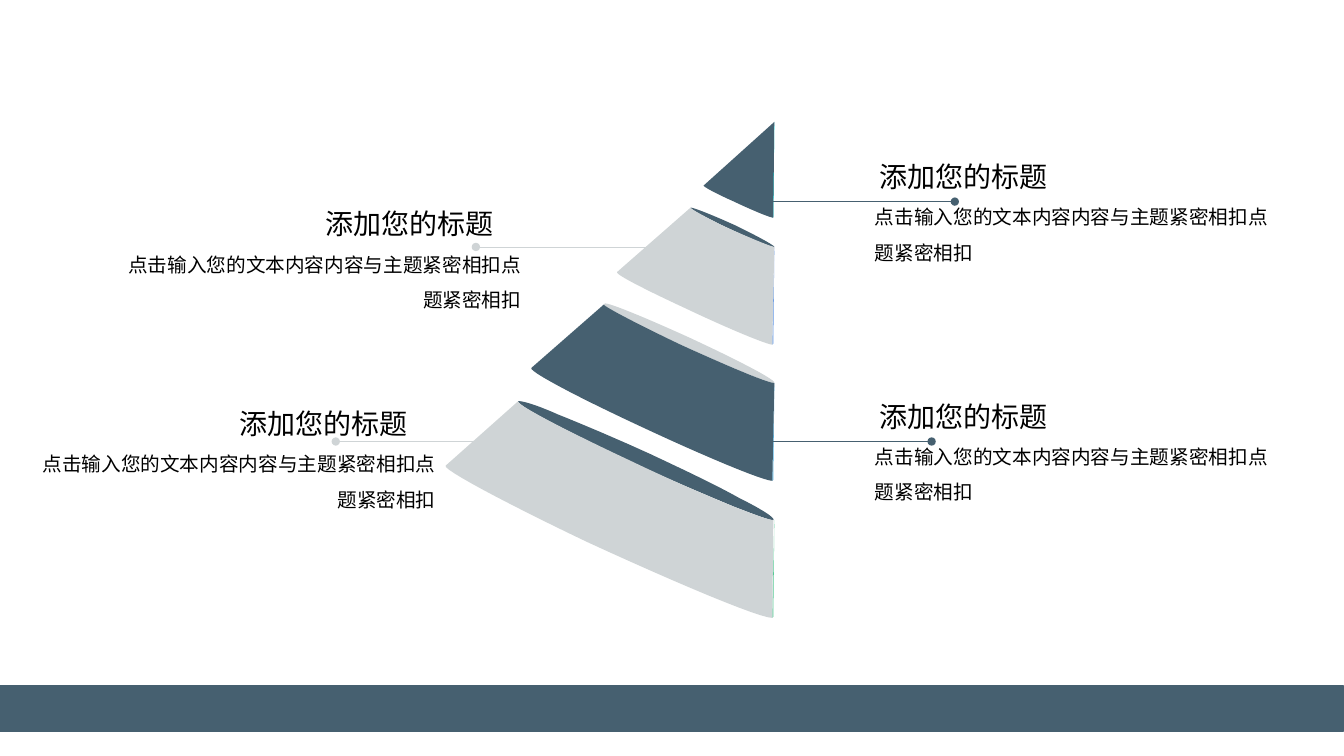
from dataclasses import dataclass

from lxml import etree
from pptx import Presentation
from pptx.dml.color import RGBColor
from pptx.enum.shapes import MSO_CONNECTOR, MSO_SHAPE
from pptx.enum.text import MSO_AUTO_SIZE, PP_ALIGN
from pptx.oxml.ns import qn
from pptx.util import Inches, Pt

STRAIGHT = MSO_CONNECTOR.STRAIGHT
RECTANGLE = MSO_SHAPE.RECTANGLE
GROW = MSO_AUTO_SIZE.SHAPE_TO_FIT_TEXT
LEFT, RIGHT, JUSTIFY = PP_ALIGN.LEFT, PP_ALIGN.RIGHT, PP_ALIGN.JUSTIFY


@dataclass(frozen=True)
class Theme:
    slate: RGBColor = RGBColor(0x46, 0x60, 0x70)
    silver: RGBColor = RGBColor(0xCF, 0xD4, 0xD6)
    cyan: RGBColor = RGBColor(0x00, 0xFF, 0xFF)
    periwinkle: RGBColor = RGBColor(0x60, 0x96, 0xE6)
    sky: RGBColor = RGBColor(0x58, 0xB6, 0xE5)
    green: RGBColor = RGBColor(0x56, 0xCA, 0x95)
    text: RGBColor = RGBColor(0x00, 0x00, 0x00)
    font: str = "Times New Roman"
    title_size: int = 20
    body_size: int = 14


theme = Theme()
CURVE_STEPS = 12


def draw_outline(shapes, outline, color):
    """Fill an outline of a start point, lines (2 numbers) and cubic curves (6)."""
    start, *segments = outline
    points = [start]
    for segment in segments:
        if len(segment) == 2:
            points.append(segment)
            continue
        x0, y0 = points[-1]
        x1, y1, x2, y2, x3, y3 = segment
        for step in range(1, CURVE_STEPS + 1):
            t = step / CURVE_STEPS
            a, b, c, d = (1 - t) ** 3, 3 * t * (1 - t) ** 2, 3 * t * t * (1 - t), t ** 3
            points.append((a * x0 + b * x1 + c * x2 + d * x3,
                           a * y0 + b * y1 + c * y2 + d * y3))
    corners = [(Inches(x), Inches(y)) for x, y in points]
    builder = shapes.build_freeform(*corners[0])
    builder.add_line_segments(corners[1:], close=True)
    shape = builder.convert_to_shape()
    shape.shadow.inherit = False
    shape.fill.solid()
    shape.fill.fore_color.rgb = color
    shape.line.fill.background()


def add_text(shapes, box, text, size, alignment, line_spacing):
    text_box = shapes.add_textbox(*[Inches(length) for length in box])
    frame = text_box.text_frame
    frame.word_wrap = True
    frame.auto_size = GROW
    paragraph = frame.paragraphs[0]
    paragraph.alignment = alignment
    paragraph.line_spacing = line_spacing
    run = paragraph.add_run()
    run.text = text
    run.font.name = theme.font
    run.font.size = Pt(size)
    run.font.color.rgb = theme.text


presentation = Presentation()
presentation.slide_width = Inches(13.33)
presentation.slide_height = Inches(7.5)
slide = presentation.slides.add_slide(presentation.slide_layouts[6])
shapes = slide.shapes

# Footer band
band = shapes.add_shape(RECTANGLE, Inches(-0.03), Inches(6.8), Inches(13.35), Inches(0.46))
band.shadow.inherit = False
band.fill.solid()
band.fill.fore_color.rgb = theme.slate
band.line.color.rgb = theme.slate
band.line.width = Pt(1)

# Right rims of the four tiers: top, bottom, colour
rims = [
    (1.21, 2.16, theme.cyan),
    (2.45, 3.42, theme.periwinkle),
    (3.8, 4.77, theme.sky),
    (5.16, 6.13, theme.green),
]
for top, bottom, color in rims:
    draw_outline(shapes, [(7.68, top), (7.67, bottom - 0.01), (7.66, bottom)], color)

# Lids of the three lower tiers
lids = [
    ([(6.85, 2.06), (6.84, 2.07, 7.02, 2.17, 7.26, 2.28),
      (7.47, 2.38, 7.65, 2.45, 7.68, 2.45), (7.69, 2.44, 7.51, 2.34, 7.28, 2.23),
      (7.06, 2.13, 6.88, 2.06, 6.85, 2.06)], theme.slate),
    ([(5.99, 3.02), (5.98, 3.04, 6.35, 3.24, 6.82, 3.45),
      (7.25, 3.65, 7.62, 3.8, 7.68, 3.8), (7.7, 3.77, 7.33, 3.58, 6.86, 3.36),
      (6.42, 3.16, 6.06, 3.01, 6, 3.01)], theme.silver),
    ([(5.14, 3.98), (5.13, 4, 5.26, 4.08, 5.49, 4.2), (5.72, 4.32, 6.04, 4.48, 6.38, 4.64),
      (6.72, 4.79, 7.05, 4.93, 7.29, 5.03), (7.5, 5.11, 7.63, 5.16, 7.67, 5.16),
      (7.69, 5.14, 7.57, 5.06, 7.33, 4.94), (7.1, 4.81, 6.78, 4.66, 6.44, 4.5),
      (6.11, 4.35, 5.78, 4.21, 5.53, 4.11), (5.33, 4.02, 5.19, 3.98, 5.15, 3.98)], theme.slate),
]
for outline, color in lids:
    draw_outline(shapes, outline, color)

# Leader lines with round ends
LEADER_LENGTH = 1.91
leaders = [
    (7.33, 4.38, theme.slate),
    (4.72, 2.45, theme.silver),
    (3.33, 4.38, theme.silver),
    (7.56, 2, theme.slate),
]
for x, y, color in leaders:
    leader = shapes.add_connector(STRAIGHT, Inches(x), Inches(y),
                                  Inches(x + LEADER_LENGTH), Inches(y))
    leader.line.color.rgb = color
    leader.line.width = Pt(0.25)
    line_xml = leader.line._get_or_add_ln()
    for end in ("a:headEnd", "a:tailEnd"):
        etree.SubElement(line_xml, qn(end), type="oval")
    etree.SubElement(leader._element.spPr, qn("a:effectLst"))

# Front faces, drawn over the inner ends of the leaders
faces = [
    ([(7.68, 1.21), (6.98, 1.84), (6.97, 1.85, 7.1, 1.92, 7.28, 2),
      (7.47, 2.09, 7.64, 2.16, 7.67, 2.16)], theme.slate),
    ([(6.85, 2.06), (6.12, 2.7), (6.1, 2.72, 6.39, 2.87, 6.8, 3.06),
      (7.22, 3.26, 7.61, 3.42, 7.66, 3.42), (7.68, 2.45),
      (7.65, 2.45, 7.44, 2.36, 7.21, 2.26), (6.99, 2.15, 6.84, 2.07, 6.85, 2.06)], theme.silver),
    ([(5.99, 3.02), (5.27, 3.65), (5.24, 3.68, 5.69, 3.92, 6.31, 4.21),
      (6.97, 4.52, 7.57, 4.77, 7.66, 4.77), (7.68, 3.8),
      (7.61, 3.8, 7.19, 3.62, 6.73, 3.41), (6.29, 3.2, 5.97, 3.03, 5.99, 3.02)], theme.slate),
    ([(5.14, 3.98), (4.42, 4.62), (4.38, 4.65, 4.99, 4.98, 5.83, 5.38),
      (6.72, 5.79, 7.53, 6.13, 7.66, 6.13), (7.67, 5.16),
      (7.58, 5.16, 6.94, 4.9, 6.25, 4.57), (5.59, 4.26, 5.11, 4.01, 5.14, 3.98)], theme.silver),
]
for outline, color in faces:
    draw_outline(shapes, outline, color)

# Labels: title left, body left, top, body alignment
labels = [
    (8.62, 8.58, 1.53, LEFT),
    (8.62, 8.58, 3.91, LEFT),
    (3.13, 1.14, 2, RIGHT),
    (2.28, 0.29, 3.98, RIGHT),
]
for title_left, body_left, top, alignment in labels:
    add_text(shapes, (title_left, top, 2.06, 0.44), "添加您的标题",
             theme.title_size, JUSTIFY, 1.0)
    add_text(shapes, (body_left, top + 0.34, 4.13, 0.81),
             "点击输入您的文本内容内容与主题紧密相扣点题紧密相扣",
             theme.body_size, alignment, 1.5)

presentation.save("out.pptx")
